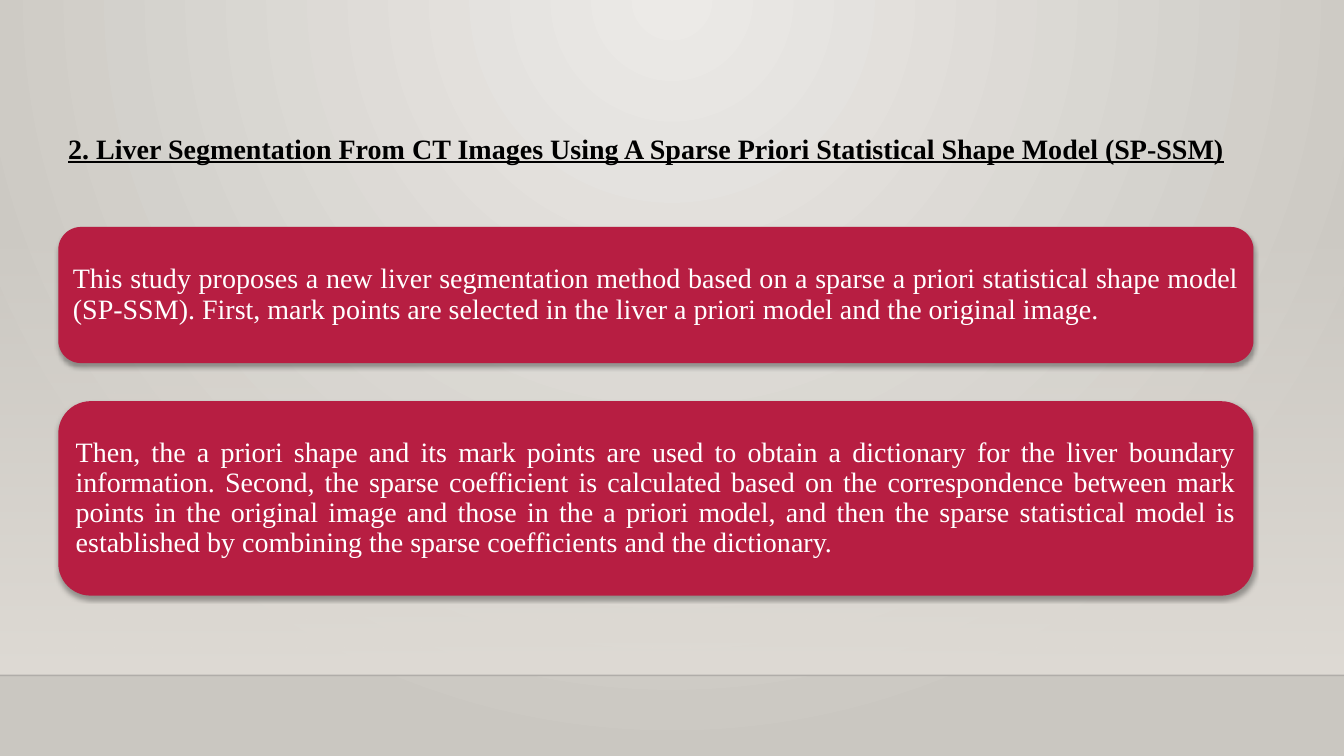
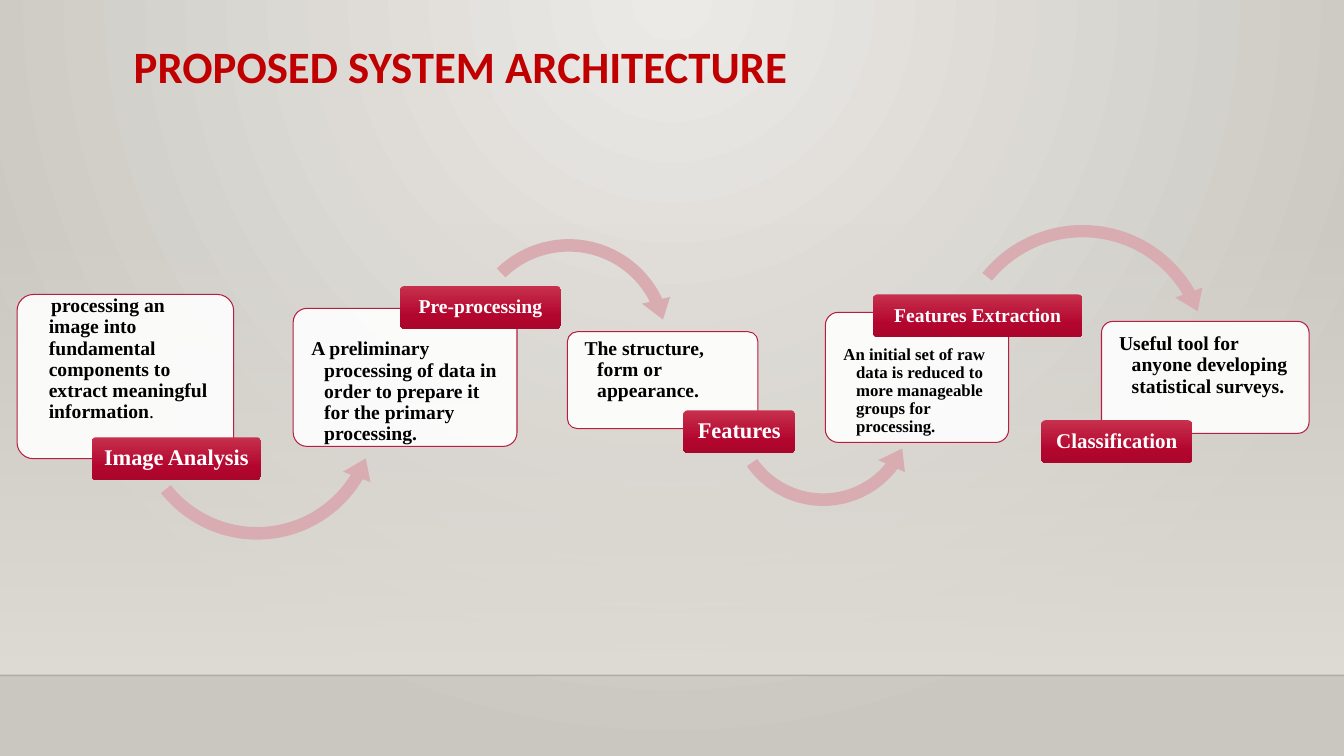
from lxml.etree import SubElement
from pptx import Presentation
from pptx.dml.color import RGBColor
from pptx.enum.shapes import MSO_CONNECTOR, MSO_SHAPE as Preset
from pptx.enum.text import MSO_ANCHOR as Anchor, MSO_AUTO_SIZE as AutoSize, PP_ALIGN as Align
from pptx.oxml.ns import qn
from pptx.util import Cm, Pt

WIDTH, HEIGHT = 33.87, 19.05
HORIZON = 17.02
CRIMSON, WHITE, BLACK, TITLE_RED, ARROW_PINK = "B71E42", "FFFFFF", "000000", "C00000", "D8ACB0"
SERIF = "Times New Roman"
BACKGROUND_STOPS = [(0, "ECEAE7", 100), (100, "CAC7C1", 100)]
BAND_STOPS = [(0, "DFDBD5", 0), (100, "DFDBD5", 100)]
LABEL_STOPS = [(0, "C7304C", 100), (69, "B3062F", 100), (100, "AA062C", 100)]
LABEL_HEIGHT = 1.07
LABEL_SHARE = 0.21
CARD_MARGIN = 0.36
HANGING = 0.32

STATEMENTS = [
    (5.72, 3.43, "This study proposes a new liver segmentation method based on a sparse a priori "
     "statistical shape model (SP-SSM). First, mark points are selected in the liver a priori "
     "model and the original image."),
    (10.11, 4.9, "Then, the a priori shape and its mark points are used to obtain a dictionary for "
     "the liver boundary information. Second, the sparse coefficient is calculated based on the "
     "correspondence between mark points in the original image and those in the a priori model, "
     "and then the sparse statistical model is established by combining the sparse coefficients "
     "and the dictionary."),
]

STEPS = [
    {"card": (0.43, 7.42, 5.46, 4.14), "size": 14, "first_indent": 0.06, "tail": ".",
     "text": "processing an image into fundamental components to extract meaningful information",
     "label": (2.31, 11.02, 4.27), "name": "Image Analysis", "name_size": 16},
    {"card": (7.39, 7.77, 5.64, 3.48), "size": 14,
     "text": "A preliminary processing of data in order to prepare it for the primary processing.",
     "label": (10.08, 7.21, 4.06), "name": "Pre-processing", "name_size": 14},
    {"card": (14.3, 8.36, 4.8, 2.44), "size": 14,
     "text": "The structure, form or appearance.",
     "label": (17.22, 10.34, 2.82), "name": "Features", "name_size": 16},
    {"card": (20.8, 7.87, 4.62, 3.28), "size": 12,
     "text": "An initial set of raw data is reduced to more manageable groups for processing.",
     "label": (22, 7.42, 5.28), "name": "Features Extraction", "name_size": 14},
    {"card": (27.76, 8.1, 5.23, 2.82), "size": 14,
     "text": "Useful tool for anyone developing statistical surveys.",
     "label": (26.24, 10.59, 3.81), "name": "Classification", "name_size": 15},
]

ARROWS = [
    (Preset.LEFT_CIRCULAR_ARROW, 3.18, 7.21, 6.6, 0, (0.048, 6.09, 18.6, 85.01, 0.056)),
    (Preset.CIRCULAR_ARROW, 11.53, 5.82, 5.61, 8.3, (0.056, 7.31, 195.62, 130.44, 0.065)),
    (Preset.LEFT_CIRCULAR_ARROW, 18.19, 7.85, 5.11, 356.3, (0.062, 8.18, 24.95, 89.26, 0.072)),
    (Preset.CIRCULAR_ARROW, 23.83, 5.46, 6.91, 5.9, (0.045, 5.78, 194.49, 127.78, 0.053)),
]


def colour(code):
    """Turn a hex string into a colour."""
    return RGBColor.from_string(code)


def set_attributes(target, values):
    """Set every attribute named in a dict."""
    for name, value in values.items():
        setattr(target, name, value)


def add_child(parent, tag, **attributes):
    """Append a drawing element with the given attributes."""
    return SubElement(parent, qn(tag), {key: str(value) for key, value in attributes.items()})


def set_opacity(element, percent):
    """Make the first solid colour under an element partly transparent."""
    add_child(next(element.iter(qn("a:srgbClr"))), "a:alpha", val=percent * 1000)


def set_gradient(fill, element, stops, focus=None):
    """Fill with a downward gradient, or a circular one around a focus rectangle."""
    fill.background()
    placeholder = next(element.iter(qn("a:noFill")))
    gradient = placeholder.makeelement(qn("a:gradFill"), {"rotWithShape": "1"})
    placeholder.getparent().replace(placeholder, gradient)
    stop_list = add_child(gradient, "a:gsLst")
    for position, code, opacity in stops:
        stop = add_child(stop_list, "a:gs", pos=position * 1000)
        add_child(add_child(stop, "a:srgbClr", val=code), "a:alpha", val=opacity * 1000)
    if focus:
        add_child(add_child(gradient, "a:path", path="circle"), "a:fillToRect", **focus)
    else:
        add_child(gradient, "a:lin", ang=5400000, scaled=0)


def add_shape(slide, preset, left, top, width, height, fill=None):
    """Add a preset shape without shadow or outline."""
    shape = slide.shapes.add_shape(preset, Cm(left), Cm(top), Cm(width), Cm(height))
    shape.shadow.inherit = False
    shape.line.fill.background()
    if fill:
        shape.fill.solid()
        shape.fill.fore_color.rgb = colour(fill)
    return shape


def write(shape, text, size, code, tail="", font=SERIF, frame=None, paragraph=None, **style):
    """Write one paragraph, with an optional tail that is not bold."""
    text_frame = shape.text_frame
    set_attributes(text_frame, {"word_wrap": True, **(frame or {})})
    first = text_frame.paragraphs[0]
    set_attributes(first, paragraph or {})
    for part, changes in ((text, {}), (tail, {"bold": False})):
        if part:
            run = first.add_run()
            run.text = part
            set_attributes(run.font, {"name": font, "size": Pt(size), **style, **changes})
            run.font.color.rgb = colour(code)
    return first


def margins(left, top, right, bottom):
    """Return the frame format for four margins."""
    return {"margin_left": Cm(left), "margin_top": Cm(top),
            "margin_right": Cm(right), "margin_bottom": Cm(bottom),
            "vertical_anchor": Anchor.MIDDLE}


def set_background(presentation):
    """Give the master the circular background gradient."""
    master = presentation.slide_master
    focus = {"l": 43000, "t": 0, "r": 43000, "b": 100000}
    set_gradient(master.background.fill, master.element, BACKGROUND_STOPS, focus)


def add_slide(presentation, title, left, top, width, height, size, code, **style):
    """Add a blank slide with the shared band, horizon line and a title."""
    slide = presentation.slides.add_slide(presentation.slide_layouts[6])
    band = add_shape(slide, Preset.RECTANGLE, 0, 5.61, WIDTH, HORIZON - 5.61)
    set_gradient(band.fill, band.element, BAND_STOPS)
    horizon = slide.shapes.add_connector(
        MSO_CONNECTOR.STRAIGHT, Cm(0), Cm(HORIZON), Cm(WIDTH), Cm(HORIZON))
    horizon.line.width = Pt(1)
    horizon.line.color.rgb = colour("000001")
    set_opacity(horizon.element, 20)
    add_child(horizon.element.spPr, "a:effectLst")
    box = slide.shapes.add_textbox(Cm(left), Cm(top), Cm(width), Cm(height))
    write(box, title, size, code, bold=True,
          frame={"auto_size": AutoSize.SHAPE_TO_FIT_TEXT}, **style)
    return slide


def add_statement(slide, top, height, text):
    """Add a crimson rounded box with a soft shadow and justified text."""
    box = add_shape(slide, Preset.ROUNDED_RECTANGLE, 1.47, top, 30.12, height, CRIMSON)
    effects = box.element.spPr.find(qn("a:effectLst"))
    shadow = add_child(effects, "a:outerShdw", blurRad=Pt(3.5), dist=Pt(2.2),
                       dir=5400000, algn="ctr", rotWithShape=0)
    add_child(add_child(shadow, "a:srgbClr", val=BLACK), "a:alpha", val=32000)
    write(box, text, 20, WHITE, frame=margins(0.2, 0.2, 0.2, 0.2),
          paragraph={"alignment": Align.JUSTIFY, "line_spacing": 0.9})


def add_card(slide, step):
    """Add a white card whose text keeps clear of the label on its edge."""
    left, top, width, height = step["card"]
    card = add_shape(slide, Preset.ROUNDED_RECTANGLE, left, top, width, height, WHITE)
    card.adjustments[0] = 0.1
    set_opacity(card.element, 90)
    card.line.color.rgb = colour(CRIMSON)
    card.line.width = Pt(0.75)
    clearance = CARD_MARGIN + LABEL_SHARE * height
    label_on_top = step["label"][1] < top
    above, below = (clearance, CARD_MARGIN) if label_on_top else (CARD_MARGIN, clearance)
    paragraph = write(card, step["text"], step["size"], BLACK, step.get("tail", ""), bold=True,
                      frame=margins(CARD_MARGIN, above, CARD_MARGIN, below),
                      paragraph={"alignment": Align.LEFT, "line_spacing": 0.9})
    properties = paragraph._p.get_or_add_pPr()
    properties.set("marL", str(Cm(HANGING)))
    properties.set("indent", str(Cm(step.get("first_indent", -HANGING))))


def add_label(slide, step):
    """Add the gradient label naming a step."""
    label = add_shape(slide, Preset.ROUNDED_RECTANGLE, *step["label"], LABEL_HEIGHT)
    label.adjustments[0] = 0.1
    set_gradient(label.fill, label.element, LABEL_STOPS)
    write(label, step["name"], step["name_size"], WHITE, bold=True,
          frame=margins(0.08, 0.05, 0.08, 0.05),
          paragraph={"alignment": Align.CENTER, "line_spacing": 0.9})


def add_arrow(slide, preset, left, top, size, rotation, adjustments):
    """Add a curved arrow leading to the next step."""
    arrow = add_shape(slide, preset, left, top, size, size, ARROW_PINK)
    arrow.rotation = rotation
    for index, value in enumerate(adjustments):
        arrow.adjustments[index] = value


def main():
    """Build and save both slides."""
    presentation = Presentation()
    set_attributes(presentation, {"slide_width": Cm(WIDTH), "slide_height": Cm(HEIGHT)})
    set_background(presentation)

    study = add_slide(
        presentation,
        "2. Liver Segmentation From CT Images Using A Sparse Priori Statistical Shape Model (SP-SSM)",
        1.47, 3.18, 30.12, 1.12, 20, BLACK, underline=True)
    for statement in STATEMENTS:
        add_statement(study, *statement)

    architecture = add_slide(presentation, "PROPOSED SYSTEM ARCHITECTURE",
                             3.12, 0.86, 18.92, 1.63, 32, TITLE_RED, font="Calibri")
    for arrow in ARROWS:
        add_arrow(architecture, *arrow)
    for step in STEPS:
        add_card(architecture, step)
        add_label(architecture, step)

    presentation.save("out.pptx")


if __name__ == "__main__":
    main()
